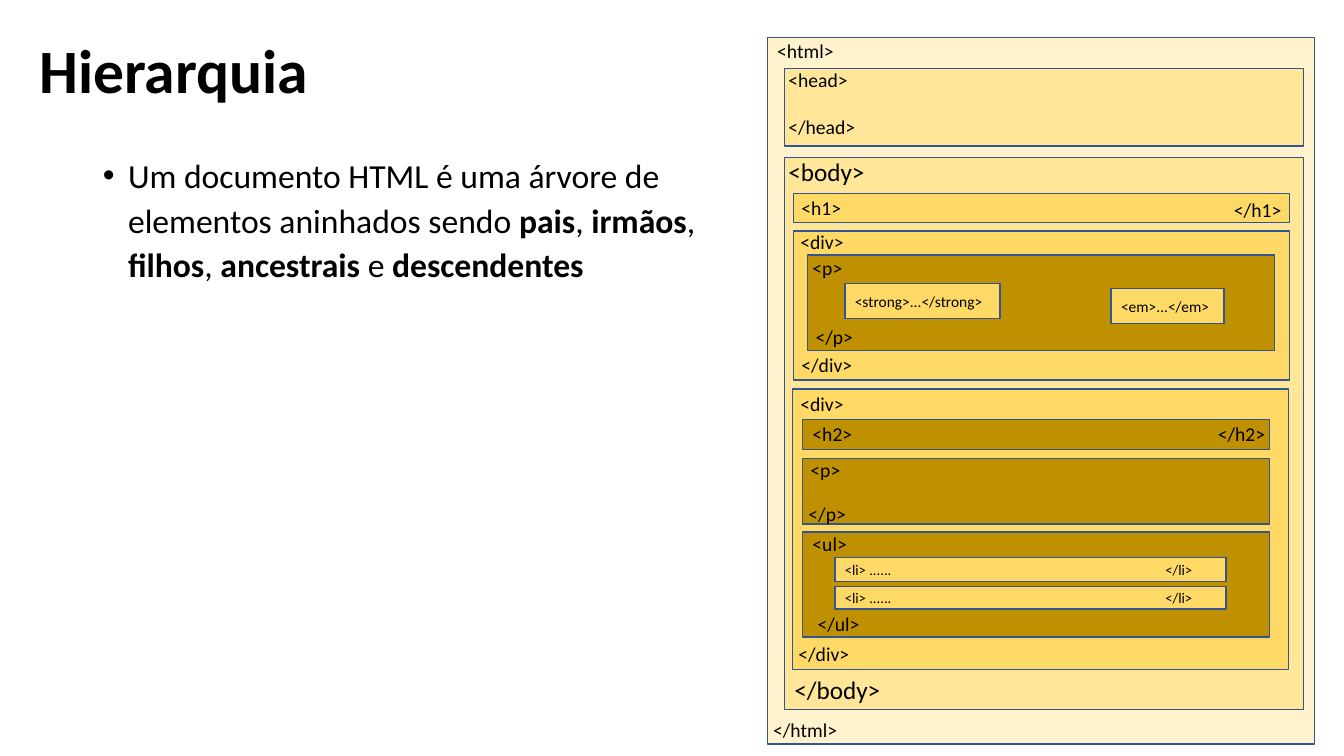
import lxml.etree
import pptx
import pptx.dml.color
import pptx.enum.shapes
import pptx.enum.text
import pptx.oxml.ns
import pptx.util

PX = 9144
FONT = "Calibri"
BLACK = pptx.dml.color.RGBColor(0x00, 0x00, 0x00)
OUTLINE = pptx.dml.color.RGBColor(0x32, 0x54, 0x91)
CREAM = pptx.dml.color.RGBColor(0xFF, 0xF2, 0xCC)
PALE = pptx.dml.color.RGBColor(0xFF, 0xE6, 0x99)
GOLD = pptx.dml.color.RGBColor(0xFF, 0xD9, 0x66)
DARK_GOLD = pptx.dml.color.RGBColor(0xBF, 0x90, 0x00)

ANCHOR = pptx.enum.text.MSO_ANCHOR
AUTO_SIZE = pptx.enum.text.MSO_AUTO_SIZE
LEFT = pptx.enum.text.PP_ALIGN.LEFT

TAG_FRAME = {"word_wrap": False, "auto_size": AUTO_SIZE.SHAPE_TO_FIT_TEXT,
             "vertical_anchor": ANCHOR.TOP}
LEAF_FRAME = {"word_wrap": True, "vertical_anchor": ANCHOR.MIDDLE}
TITLE_FRAME = {"word_wrap": True, "auto_size": AUTO_SIZE.NONE,
               "vertical_anchor": ANCHOR.MIDDLE}
BODY_FRAME = {"word_wrap": True, "auto_size": AUTO_SIZE.NONE,
              "vertical_anchor": ANCHOR.TOP}

TAG_WIDTHS = {
    "<html>": 77, "</html>": 84, "<head>": 87, "<body>": 97, "</body>": 107,
    "<h1>": 60, "</h1>": 68, "<h2>": 60, "</h2>": 68, "<div>": 64,
    "</div>": 71, "<p>": 50, "</p>": 58, "<ul>": 55, "</ul>": 62,
}


def px(*lengths):
    return [pptx.util.Emu(length * PX) for length in lengths]


def apply(target, formats):
    for attribute, value in formats.items():
        setattr(target, attribute, value)


def place(shape, box):
    apply(shape, dict(zip(("left", "top", "width", "height"), px(*box))))


def inside(parent, left, top, width, height):
    return parent[0] + left, parent[1] + top, width, height


def write(paragraph, text, size, bold=False):
    run = paragraph.add_run()
    run.text = text
    apply(run.font, {"name": FONT, "size": pptx.util.Pt(size), "bold": bold})
    run.font.color.rgb = BLACK


def element(slide, box, fill):
    block = slide.shapes.add_shape(pptx.enum.shapes.MSO_SHAPE.RECTANGLE, *px(*box))
    block.shadow.inherit = False
    block.fill.solid()
    block.fill.fore_color.rgb = fill
    block.line.color.rgb = OUTLINE
    block.line.width = pptx.util.Pt(1)
    return block


def leaf(slide, box, text, size):
    frame = element(slide, box, GOLD).text_frame
    apply(frame, LEAF_FRAME)
    frame.paragraphs[0].alignment = LEFT
    write(frame.paragraphs[0], text, size)
    return frame.paragraphs[0]


def tag(slide, parent, left, top, text, size=14):
    height = 40 if size == 18 else 34
    box = inside(parent, left, top, TAG_WIDTHS[text], height)
    label = slide.shapes.add_textbox(*px(*box))
    apply(label.text_frame, TAG_FRAME)
    write(label.text_frame.paragraphs[0], text, size)
    return label


def list_item(slide, box):
    paragraph = leaf(slide, box, "<li> ......\t</li>", 10.5)
    qn = pptx.oxml.ns.qn
    tabs = lxml.etree.SubElement(paragraph._p.get_or_add_pPr(), qn("a:tabLst"))
    lxml.etree.SubElement(tabs, qn("a:tab"), pos=str(318 * PX), algn="l")


def head_section(slide, box):
    element(slide, box, PALE)
    head = tag(slide, box, -6, -6, "<head>")
    head.height = px(81)[0]
    closing = head.text_frame.add_paragraph()
    closing.space_before = pptx.util.Pt(17)
    write(closing, "</head>", 14)


def heading(slide, box, name, fill, opening, closing):
    element(slide, box, fill)
    tag(slide, box, *opening, f"<{name}>")
    tag(slide, box, *closing, f"</{name}>")


def text_div(slide, box):
    element(slide, box, GOLD)
    tag(slide, box, -3, -6, "<div>")
    tag(slide, box, -2, 116, "</div>")
    paragraph = inside(box, 14, 24, 463, 95)
    element(slide, paragraph, DARK_GOLD)
    tag(slide, paragraph, -5, -4, "<p>")
    tag(slide, paragraph, -2, 64, "</p>")
    leaf(slide, inside(paragraph, 37, 28, 154, 35), "<strong>...</strong>", 11)
    leaf(slide, inside(paragraph, 301, 33, 112, 35), "<em>...</em>", 11)


def list_div(slide, box):
    element(slide, box, GOLD)
    tag(slide, box, -2, -2, "<div>")
    tag(slide, box, -4, 246, "</div>")
    heading(slide, inside(box, 10, 30, 463, 30), "h2", DARK_GOLD, (0, -2), (402, -2))
    paragraph = inside(box, 10, 69, 463, 65)
    element(slide, paragraph, DARK_GOLD)
    tag(slide, paragraph, -2, -6, "<p>")
    tag(slide, paragraph, -4, 38, "</p>")
    items = inside(box, 10, 142, 463, 104)
    element(slide, items, DARK_GOLD)
    tag(slide, items, 0, -5, "<ul>")
    tag(slide, items, 5, 74, "</ul>")
    for top, height in ((25, 24), (54, 22)):
        list_item(slide, inside(items, 32, top, 388, height))


def body_section(slide, box):
    element(slide, box, PALE)
    tag(slide, box, -6, -6, "<body>", 18)
    tag(slide, box, 0, 508, "</body>", 18)
    heading(slide, inside(box, 9, 36, 492, 29), "h1", GOLD, (-2, -3), (427, -1))
    text_div(slide, inside(box, 9, 73, 492, 148))
    list_div(slide, inside(box, 8, 230, 492, 278))


def html_tree(slide, box):
    element(slide, box, CREAM)
    tag(slide, box, 0, -3, "<html>")
    tag(slide, box, -4, 670, "</html>")
    head_section(slide, inside(box, 17, 31, 515, 77))
    body_section(slide, inside(box, 17, 119, 515, 548))


def title_region(slide, box):
    title = slide.shapes.title
    place(title, box)
    apply(title.text_frame, TITLE_FRAME)
    heading_line = title.text_frame.paragraphs[0]
    apply(heading_line, {"alignment": LEFT, "line_spacing": 0.9})
    write(heading_line, "Hierarquia", 44, True)


def definition_region(slide, box):
    definition = slide.placeholders[1]
    place(definition, box)
    apply(definition.text_frame, BODY_FRAME)
    sentence = definition.text_frame.paragraphs[0]
    apply(sentence, {"alignment": LEFT, "line_spacing": 1.1,
                     "space_before": pptx.util.Pt(10)})
    indents = sentence._p.get_or_add_pPr()
    indents.set("marL", str(25 * PX))
    indents.set("indent", str(-25 * PX))
    pieces = ("Um documento HTML é uma árvore de elementos aninhados sendo ",
              "pais", ", ", "irmãos", ", ", "filhos", ", ", "ancestrais",
              " e ", "descendentes")
    for index, piece in enumerate(pieces):
        write(sentence, piece, 24, index % 2 == 1)


def main():
    deck = pptx.Presentation()
    apply(deck, dict(zip(("slide_width", "slide_height"), px(1333, 750))))
    slide = deck.slides.add_slide(deck.slide_layouts[1])
    title_region(slide, (29, 0, 1150, 145))
    definition_region(slide, (92, 145, 636, 273))
    html_tree(slide, (761, 37, 543, 701))
    deck.save("out.pptx")


if __name__ == "__main__":
    main()
